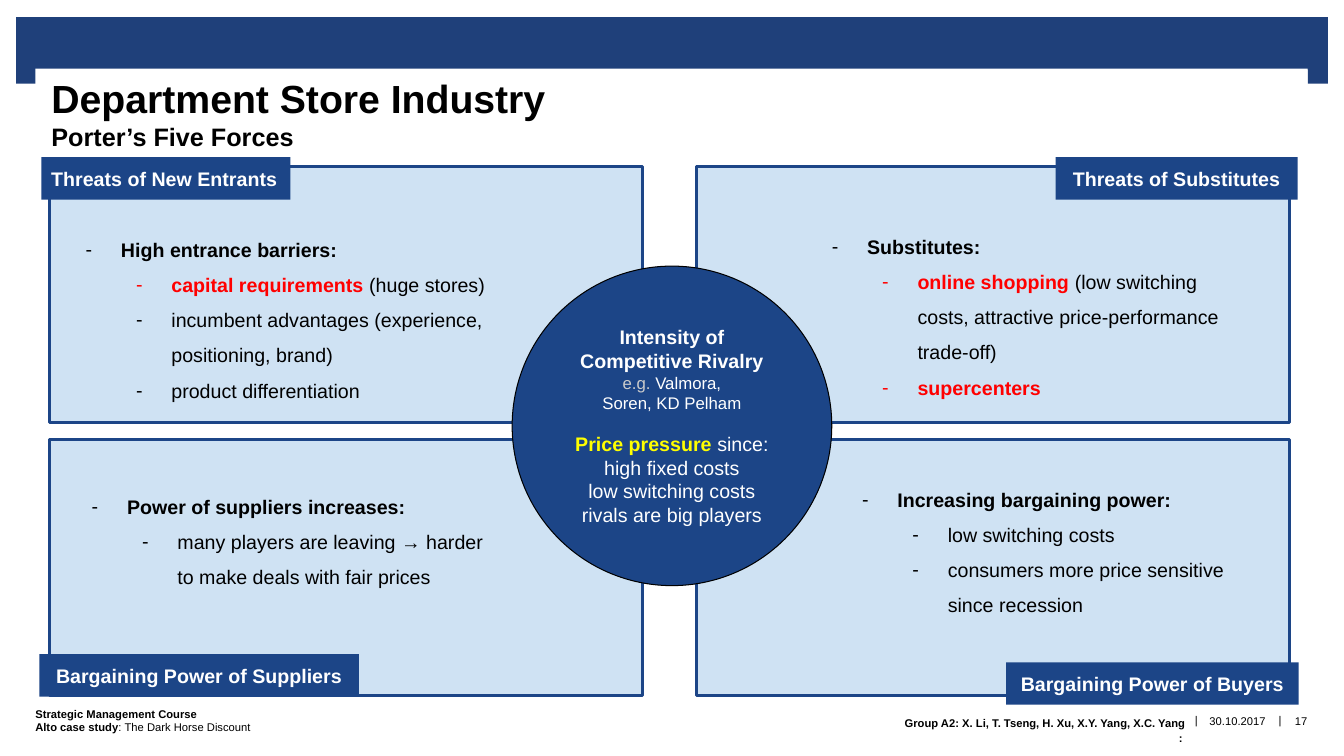
import itertools
from dataclasses import dataclass

import pptx
import pptx.dml.color
import pptx.enum.shapes
import pptx.enum.text
import pptx.oxml.ns
import pptx.util
from lxml import etree

Inches = pptx.util.Inches
Pt = pptx.util.Pt
Shape = pptx.enum.shapes.MSO_SHAPE
Align = pptx.enum.text.PP_ALIGN
Anchor = pptx.enum.text.MSO_ANCHOR


@dataclass(frozen=True)
class Theme:
    font: str = "Arial"
    band: str = "1F407A"
    accent: str = "1C4587"
    panel: str = "CFE2F3"
    black: str = "000000"
    white: str = "FFFFFF"
    grey: str = "CCCCCC"
    red: str = "FF0000"
    yellow: str = "FFFF00"
    title: int = 28
    subtitle: int = 18
    body: int = 14
    small: int = 12
    footer: int = 8


THEME = Theme()


def run(text, color=THEME.black, bold=False, size=THEME.body):
    return text, color, bold, size


class SlideBuilder:
    def __init__(self, slide, theme):
        self.slide = slide
        self.theme = theme

    def color(self, value):
        return pptx.dml.color.RGBColor.from_string(value)

    def fill_text(self, shape, paragraphs, align=Align.LEFT, anchor=Anchor.TOP,
                  insets=(0.1, 0.1, 0.1, 0.1), line_spacing=1.0):
        """Fill a shape with paragraphs, each a list of runs."""
        frame = shape.text_frame
        frame.auto_size = pptx.enum.text.MSO_AUTO_SIZE.NONE
        frame.word_wrap = True
        frame.vertical_anchor = anchor
        frame.margin_left, frame.margin_top, frame.margin_right, frame.margin_bottom = map(Inches, insets)
        for index, runs in enumerate(paragraphs):
            paragraph = frame.add_paragraph() if index else frame.paragraphs[0]
            paragraph.alignment = align
            paragraph.line_spacing = line_spacing
            paragraph.space_before = paragraph.space_after = Pt(0)
            for text, color, bold, size in runs:
                for number, line in enumerate(text.split("\n")):
                    if number:
                        paragraph.add_line_break()
                    part = paragraph.add_run()
                    part.text = line
                    part.font.name = self.theme.font
                    part.font.size = Pt(size)
                    part.font.bold = bold
                    part.font.color.rgb = self.color(color)
        return frame

    def shape(self, kind, box, fill, line=None, width=0.0):
        shape = self.slide.shapes.add_shape(kind, *map(Inches, box))
        shape.shadow.inherit = False
        shape.fill.solid()
        shape.fill.fore_color.rgb = self.color(fill)
        if line:
            shape.line.color.rgb = self.color(line)
            shape.line.width = Pt(width)
        else:
            shape.line.fill.background()
        return shape

    def text(self, box, paragraphs, **style):
        shape = self.slide.shapes.add_textbox(*map(Inches, box))
        self.fill_text(shape, paragraphs, anchor=Anchor.MIDDLE, **style)

    def placeholder(self, index, box, fill):
        """Move a template placeholder to its place and to the front."""
        shape = self.slide.placeholders[index]
        shape.left, shape.top, shape.width, shape.height = map(Inches, box)
        shape.fill.solid()
        shape.fill.fore_color.rgb = self.color(fill)
        shape.element.getparent().append(shape.element)
        return shape

    def title(self, box, paragraphs):
        shape = self.placeholder(0, box, self.theme.white)
        self.fill_text(shape, paragraphs, insets=(0.16, 0.06, 0.16, 0))

    def bullets(self, index, box, items):
        """Set a dashed list: a heading followed by second-level points."""
        shape = self.placeholder(index, box, self.theme.panel)
        frame = self.fill_text(shape, items, line_spacing=1.5)
        qn = pptx.oxml.ns.qn
        for number, (paragraph, runs) in enumerate(zip(frame.paragraphs, items)):
            paragraph.level = min(number, 1)
            properties = paragraph._p.get_or_add_pPr()
            properties.set("marL", str(Inches(0.5 * (paragraph.level + 1))))
            properties.set("indent", str(Inches(-0.35)))
            bullet_color = etree.SubElement(properties, qn("a:buClr"))
            etree.SubElement(bullet_color, qn("a:srgbClr"), val=runs[0][1])
            etree.SubElement(properties, qn("a:buFont"), typeface=self.theme.font)
            etree.SubElement(properties, qn("a:buChar"), char="-")


def main():
    theme = THEME
    presentation = pptx.Presentation()
    presentation.slide_width, presentation.slide_height = Inches(13.33), Inches(7.5)
    comparison_layout = presentation.slide_layouts[4]
    builder = SlideBuilder(presentation.slides.add_slide(comparison_layout), theme)

    # Header band with its two corners
    for box in ((0.16, 0.17, 13.01, 0.52), (0.16, 0.65, 0.2, 0.18), (12.97, 0.65, 0.2, 0.18)):
        builder.shape(Shape.RECTANGLE, box, theme.band)

    # Title
    builder.title((0.35, 0.68, 12.62, 0.75), [
        [run("Department Store Industry", bold=True, size=theme.title)],
        [run("Porter’s Five Forces", bold=True, size=theme.subtitle)],
    ])

    # Four panels
    for top, left in itertools.product((1.65, 4.36), (0.49, 6.91)):
        panel = builder.shape(Shape.ROUND_2_DIAG_RECTANGLE, (left, top, 5.88, 2.54),
                              theme.panel, theme.accent, 2.25)
        panel.adjustments[0] = panel.adjustments[1] = 0

    # Force labels
    labels = (
        ("Threats of New Entrants", 0.41, 1.56, 2.47, Align.LEFT),
        ("Threats of Substitutes", 10.47, 1.56, 2.4, Align.CENTER),
        ("Bargaining Power of Suppliers", 0.39, 6.49, 3.17, Align.CENTER),
        ("Bargaining Power of Buyers", 9.98, 6.57, 2.9, Align.CENTER),
    )
    for text, left, top, width, align in labels:
        label = builder.shape(Shape.RECTANGLE, (left, top, width, 0.42), theme.accent)
        builder.fill_text(label, [[run(text, theme.white, True)]], align)

    # Lists of arguments
    arguments = (
        ((0.6, 2.14, 4.56, 1.83), [
            [run("High entrance barriers:", bold=True)],
            [run("capital requirements ", theme.red, True), run("(huge stores)")],
            [run("incumbent advantages (experience, positioning, brand)")],
            [run("product differentiation")],
        ]),
        ((8, 2.11, 4.31, 1.84), [
            [run("Substitutes:", bold=True)],
            [run("online shopping ", theme.red, True),
             run("(low switching costs, attractive price-performance trade-off)")],
            [run("supercenters", theme.red, True)],
        ]),
        ((0.66, 4.69, 4.31, 1.67), [
            [run("Power of suppliers increases:", bold=True)],
            [run("many players are leaving → harder to make deals with fair prices")],
        ]),
        ((8.3, 4.62, 4.31, 1.83), [
            [run("Increasing bargaining power:", bold=True)],
            [run("low switching costs")],
            [run("consumers more price sensitive since recession")],
        ]),
    )
    for index, (box, items) in enumerate(arguments, start=1):
        builder.bullets(index, box, items)

    # Central rivalry circle
    circle = builder.shape(Shape.OVAL, (5.08, 2.64, 3.17, 3.17), theme.accent, theme.black, 0.75)
    rivalry = builder.fill_text(circle, [
        [run("Intensity of Competitive Rivalry", theme.white, True)],
        [run("e.g. ", theme.grey, size=theme.small),
         run("Valmora,\nSoren, KD Pelham", theme.white, size=theme.small)],
        [run("Price pressure", theme.yellow, True), run(" since:", theme.white)],
        [run("high fixed costs", theme.white)],
        [run("low switching costs", theme.white)],
        [run("rivals are big players", theme.white)],
    ], Align.CENTER, Anchor.MIDDLE)
    rivalry.paragraphs[2].space_before = Pt(14)

    # Footer
    side_insets = (0, 0.05, 0, 0.05)
    builder.text((0.35, 6.9, 6.31, 0.5), [
        [run("Strategic Management Course", bold=True, size=theme.footer)],
        [run("Alto case study", bold=True, size=theme.footer),
         run(": The Dark Horse Discount", size=theme.footer)],
    ], insets=side_insets)
    builder.text((5.45, 6.99, 6.31, 0.5), [
        [run("Group A2: X. Li, T. Tseng, H. Xu, X.Y. Yang, X.C. Yang\n: ", bold=True, size=theme.footer)],
    ], align=Align.RIGHT, insets=side_insets, line_spacing=1.15)
    for text, left, top, width, inset in (
        ("|", 11.79, 6.89, 0.15, 0.04),
        ("30.10.2017", 11.94, 6.9, 0.67, 0),
        ("|", 12.62, 6.89, 0.15, 0.04),
        ("17", 12.71, 6.9, 0.39, 0),
    ):
        builder.text((left, top, width, 0.51), [[run(text, size=theme.footer)]],
                     align=Align.CENTER, insets=(inset, 0, inset, 0))

    presentation.save("out.pptx")


if __name__ == "__main__":
    main()
